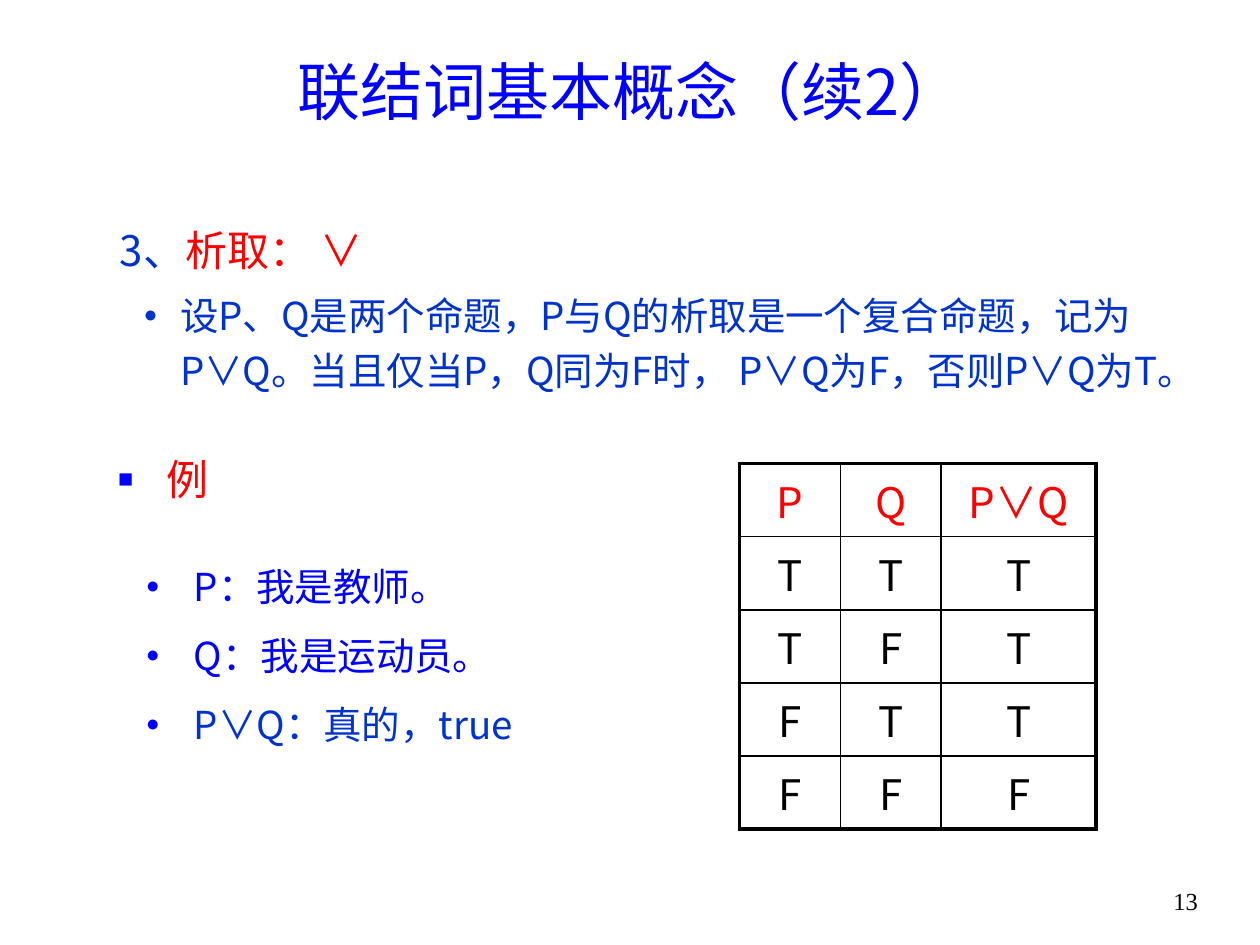
import pptx
import pptx.util
import pptx.dml.color
import pptx.enum.text
import pptx.oxml.ns
from lxml import etree

Inches, Pt = pptx.util.Inches, pptx.util.Pt
ALIGN = pptx.enum.text.PP_ALIGN
SANS, SERIF = "Noto Sans CJK SC", "Times New Roman"
COLORS = {"blue": "0000FF", "navy": "0033CC", "red": "FF0000", "black": "000000"}

# Content: each paragraph is a list of (text, colour) runs
TITLE = [("联结词基本概念（续2）", "blue")]
HEADING = [("3、", "navy"), ("析取： ∨", "red")]
DEFINITION = [("设P、Q是两个命题，P与Q的析取是一个复合命题，记为P∨Q。"
               "当且仅当P，Q同为F时， P∨Q为F，否则P∨Q为T。", "navy")]
EXAMPLE = [("例", "red")]
STATEMENTS = [
    [("P：我是教师。", "blue")],
    [("Q：我是运动员。", "blue")],
    [("P∨Q：真的，true", "navy")],
]
PAGE_NUMBER = [("13", "black")]
TRUTH_TABLE = [
    ["P", "Q", "P∨Q"],
    ["T", "T", "T"],
    ["T", "F", "T"],
    ["F", "T", "T"],
    ["F", "F", "F"],
]
COLUMN_WIDTHS = [0.8, 0.8, 1.23]
ROW_HEIGHT = 0.58
OUTER_LINE, INNER_LINE = 2.25, 1
DISC, SQUARE = "●", "■"


def add_element(parent, tag, **attributes):
    element = etree.SubElement(parent, pptx.oxml.ns.qn(tag))
    for name, value in attributes.items():
        element.set(name, str(value))
    return element


def rgb(color):
    return pptx.dml.color.RGBColor.from_string(COLORS[color])


def add_text_box(slide, left, top, width, height, inset=True):
    shape = slide.shapes.add_textbox(*map(Inches, (left, top, width, height)))
    frame = shape.text_frame
    frame.word_wrap = True
    if not inset:
        frame.margin_left = frame.margin_right = 0
        frame.margin_top = frame.margin_bottom = 0
    return frame


def write(paragraph, runs, size, align=ALIGN.LEFT, font=SANS, indent=(0, 0),
          bullet=None, bullet_color=None, spacing=1.0, before=0, after=0):
    paragraph.alignment = align
    paragraph.line_spacing = spacing
    paragraph.space_before, paragraph.space_after = Pt(before), Pt(after)
    properties = paragraph._p.get_or_add_pPr()
    properties.set("marL", str(Inches(indent[0])))
    properties.set("indent", str(Inches(indent[1])))
    if bullet:
        if bullet_color:
            holder = add_element(properties, "a:buClr")
            add_element(holder, "a:srgbClr", val=COLORS[bullet_color])
        add_element(properties, "a:buSzPct", val=60000)
        add_element(properties, "a:buFont", typeface="Arial")
        add_element(properties, "a:buChar", char=bullet)
    paragraph.font.size = Pt(size)
    paragraph.font.name = font
    if len(runs) == 1:
        paragraph.font.color.rgb = rgb(runs[0][1])
    for text, color in runs:
        run = paragraph.add_run()
        run.text = text
        if len(runs) > 1:
            run.font.color.rgb = rgb(color)


def set_borders(cell, widths):
    properties = cell._tc.get_or_add_tcPr()
    for side, width in zip("LRTB", widths):
        line = add_element(properties, f"a:ln{side}", w=Pt(width))
        fill = add_element(line, "a:solidFill")
        add_element(fill, "a:srgbClr", val=COLORS["black"])


def add_truth_table(slide, left, top):
    row_count, column_count = len(TRUTH_TABLE), len(COLUMN_WIDTHS)
    table = slide.shapes.add_table(
        row_count, column_count, Inches(left), Inches(top),
        Inches(sum(COLUMN_WIDTHS)), Inches(ROW_HEIGHT * row_count)).table
    table.first_row = table.horz_banding = False
    for column, width in zip(table.columns, COLUMN_WIDTHS):
        column.width = Inches(width)
    for i, values in enumerate(TRUTH_TABLE):
        table.rows[i].height = Inches(ROW_HEIGHT)
        for j, value in enumerate(values):
            cell = table.cell(i, j)
            edges = (j == 0, j == column_count - 1, i == 0, i == row_count - 1)
            set_borders(cell, [OUTER_LINE if edge else INNER_LINE for edge in edges])
            cell.fill.background()
            color = "red" if i == 0 else "black"
            write(cell.text_frame.paragraphs[0], [(value, color)], 24, ALIGN.CENTER)


def main():
    presentation = pptx.Presentation()
    presentation.slide_width, presentation.slide_height = Inches(10), Inches(7.5)
    slide = presentation.slides.add_slide(presentation.slide_layouts[6])

    # Title
    frame = add_text_box(slide, 0.75, 0.36, 8.5, 0.71)
    frame.vertical_anchor = pptx.enum.text.MSO_ANCHOR.MIDDLE
    write(frame.paragraphs[0], TITLE, 36, ALIGN.CENTER)

    # Definition
    frame = add_text_box(slide, 0.75, 1.7, 8.82, 1.43, inset=False)
    write(frame.paragraphs[0], HEADING, 24, indent=(0.2, 0), spacing=1.2)
    write(frame.add_paragraph(), DEFINITION, 22, indent=(0.68, -0.29),
          bullet=DISC, spacing=1.2, before=4.4)

    # Example
    frame = add_text_box(slide, 0.84, 3.51, 1.73, 0.71)
    write(frame.paragraphs[0], EXAMPLE, 24, indent=(0.38, -0.38),
          bullet=SQUARE, bullet_color="blue", spacing=1.1)
    frame = add_text_box(slide, 1.06, 4.38, 4.02, 1.81)
    for i, statement in enumerate(STATEMENTS):
        paragraph = frame.add_paragraph() if i else frame.paragraphs[0]
        write(paragraph, statement, 22, indent=(0.38, -0.38), bullet=DISC,
              bullet_color="blue", spacing=1.1, before=4.4 if i else 0, after=6)

    # Truth table
    add_truth_table(slide, 5.87, 3.68)

    # Page number
    frame = add_text_box(slide, 8.94, 6.98, 0.94, 0.35)
    write(frame.paragraphs[0], PAGE_NUMBER, 14, ALIGN.CENTER, SERIF)

    presentation.save("out.pptx")


if __name__ == "__main__":
    main()
